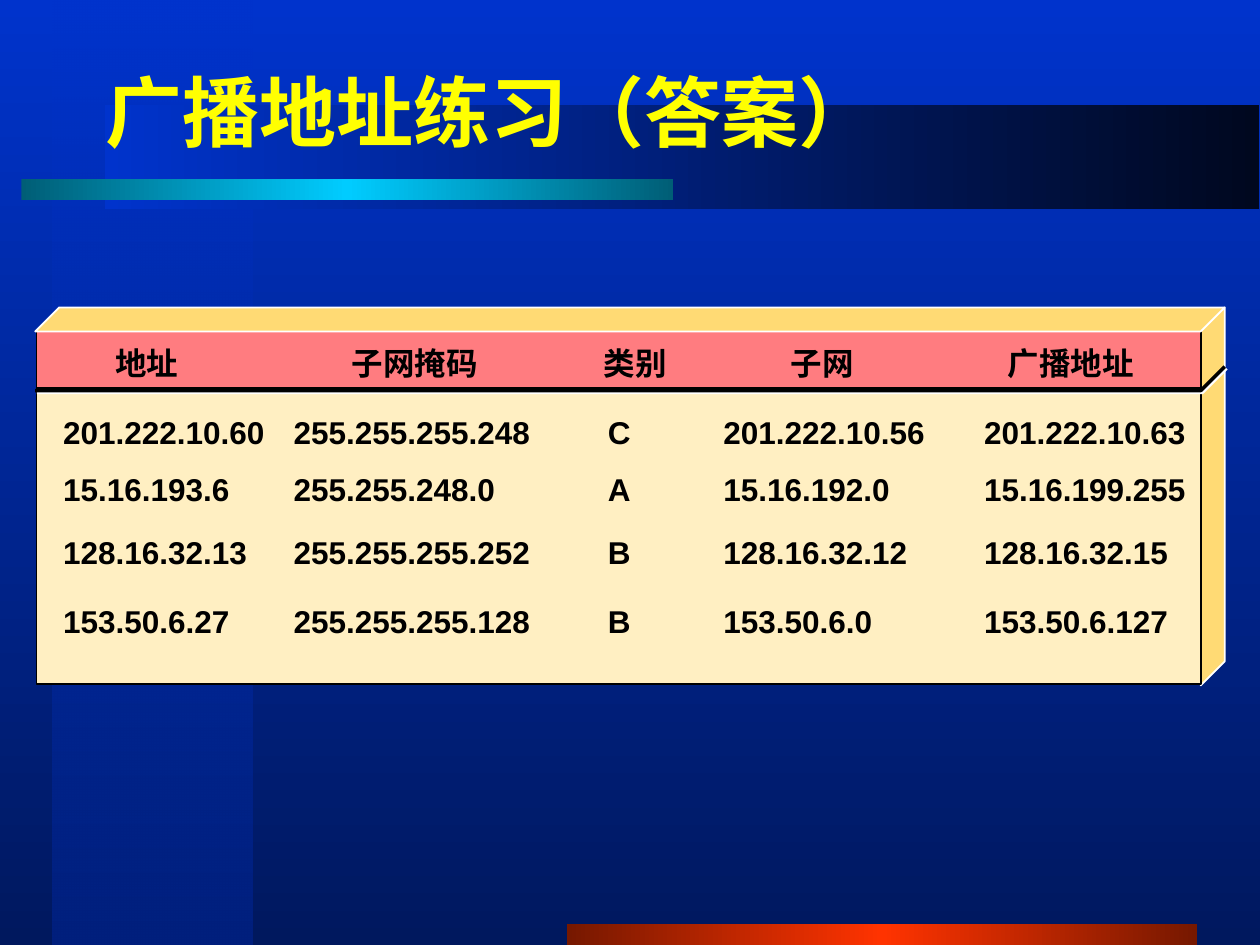
from dataclasses import dataclass

from lxml import etree
from pptx import Presentation
from pptx import util as u
from pptx.dml.color import RGBColor
from pptx.enum import shapes, text
from pptx.oxml.ns import qn


@dataclass(frozen=True)
class Theme:
    sky: tuple = (("0033CC",), ("00185E",))
    pane: tuple = (("0033CC", 50), ("00207E",))
    red: tuple = (("761800",), ("FF3300",), ("761800",))
    night: tuple = (("0033CC",), ("00081F",))
    cyan: tuple = (("005E76",), ("00CCFF",), ("005E76",))
    title: str = "FFFF01"
    side: str = "FFDA74"
    body: str = "FFEFC2"
    head: str = "FF7C80"
    white: str = "FFFFFF"
    black: str = "000000"
    gray: str = "808080"
    big: int = 44
    small: int = 18
    serif: str = "Times New Roman"
    sans: str = "Arial"


class Deck:
    """Draws styled elements on the current slide."""

    def __init__(self, theme):
        self.theme = theme
        self.prs = Presentation()
        self.prs.slide_width = u.Inches(10)
        self.prs.slide_height = u.Inches(7.5)
        self.slide = self.prs.slides.add_slide(self.prs.slide_layouts[6])

    def blend(self, root, fill, stops, angle):
        fill.gradient()
        fill.gradient_angle = angle
        items = root.find(".//" + qn("a:gsLst"))
        for old in list(items):
            items.remove(old)
        for i, (tone, *alpha) in enumerate(stops):
            pos = i * 100000 // (len(stops) - 1)
            stop = etree.SubElement(items, qn("a:gs"), pos=str(pos))
            color = etree.SubElement(stop, qn("a:srgbClr"), val=tone)
            for part in alpha:
                etree.SubElement(color, qn("a:alpha"), val=str(part * 1000))

    def back(self, stops):
        self.blend(self.slide._element, self.slide.background.fill, stops, 270)

    def shade(self, effects, tone, dist):
        cast = etree.SubElement(effects, qn("a:outerShdw"), dist=str(u.Pt(dist)),
                                dir="2700000", algn="ctr", rotWithShape="0")
        etree.SubElement(cast, qn("a:srgbClr"), val=tone)

    def style(self, shape, fill, line, width):
        shape.shadow.inherit = False
        if fill:
            shape.fill.solid()
            shape.fill.fore_color.rgb = RGBColor.from_string(fill)
        else:
            shape.fill.background()
        if line:
            shape.line.color.rgb = RGBColor.from_string(line)
            shape.line.width = u.Pt(width)
        else:
            shape.line.fill.background()

    def rect(self, box, fill=None, line=None, width=1):
        shape = self.slide.shapes.add_shape(
            shapes.MSO_SHAPE.RECTANGLE, *map(u.Inches, box))
        self.style(shape, fill, line, width)
        return shape

    def band(self, box, stops, angle=0):
        shape = self.rect(box)
        self.blend(shape._element.spPr, shape.fill, stops, angle)

    def poly(self, points, fill, line, width=1, close=True):
        first, *rest = [tuple(map(u.Inches, p)) for p in points]
        build = self.slide.shapes.build_freeform(*first)
        build.add_line_segments(rest, close=close)
        shape = build.convert_to_shape()
        self.style(shape, fill, line, width)
        return shape

    def label(self, box, words, size, font, tone, center=False, inset=(0, 0)):
        shape = self.slide.shapes.add_textbox(*map(u.Inches, box))
        frame = shape.text_frame
        frame.word_wrap = True
        frame.vertical_anchor = text.MSO_ANCHOR.MIDDLE
        frame.margin_left = frame.margin_right = u.Inches(inset[0])
        frame.margin_top = frame.margin_bottom = u.Inches(inset[1])
        para = frame.paragraphs[0]
        para.alignment = text.PP_ALIGN.CENTER if center else text.PP_ALIGN.LEFT
        run = para.add_run()
        run.text = words
        run.font.size = u.Pt(size)
        run.font.bold = True
        run.font.color.rgb = RGBColor.from_string(tone)
        run.font.name = font
        return shape, run

    def title(self, box, words):
        t = self.theme
        _, run = self.label(box, words, t.big, t.serif, t.title, inset=(0.09, 0.04))
        effects = etree.Element(qn("a:effectLst"))
        run.font._element.find(qn("a:solidFill")).addnext(effects)
        self.shade(effects, t.gray, 2.8)

    def cell(self, left, top, width, words, center):
        t = self.theme
        shape, _ = self.label((left, top, width, 0.29), words,
                              t.small, t.sans, t.black, center)
        shape.text_frame.auto_size = text.MSO_AUTO_SIZE.SHAPE_TO_FIT_TEXT
        shape.text_frame.paragraphs[0].line_spacing = 0.95


def main():
    t = Theme()
    deck = Deck(t)
    deck.back(t.sky)
    deck.band((0.42, 0, 1.58, 7.5), t.pane, 270)
    deck.band((4.5, 7.33, 5, 0.17), t.red)
    deck.band((0.83, 0.83, 9.16, 0.83), t.night)
    deck.band((0.17, 1.42, 5.17, 0.17), t.cyan)
    deck.title((0.75, 0.25, 8.7, 1.25), "广播地址练习（答案）")

    left, right, top, low, rule, deep = 0.28, 9.53, 2.63, 5.44, 3.1, 0.19
    far, rear = right + deep, top - deep
    deck.poly([(far, rear), (right, top), (right, low), (far, low - deep)],
              t.side, t.white)
    for height, fill in ((2.8, t.body), (0.45, t.head)):
        deck.rect((0.29, top, 9.24, height), fill, t.black)
    deck.poly([(left, top), (left + deep, rear), (far, rear), (right, top)],
              t.side, t.white)
    edge = deck.poly([(left, rule), (right, rule), (far, rule - deep)],
                     None, t.black, 2, close=False)
    deck.shade(edge._element.spPr.find(qn("a:effectLst")), t.white, 1.4)

    heads = (("地址", 0.5, 1.33), ("子网掩码", 2.5, 1.58), ("类别", 4.33, 1.42),
             ("子网", 6, 1.05), ("广播地址", 7.83, 1.34))
    for words, x, width in heads:
        deck.cell(x, 2.75, width, words, True)

    cols = ((0.5, 1.75), (2.33, 2), (4.33, 1.17), (5.74, 1.85), (7.81, 1.85))
    rows = (
        (3.3, "201.222.10.60", "255.255.255.248", "C", "201.222.10.56", "201.222.10.63"),
        (3.75, "15.16.193.6", "255.255.248.0", "A", "15.16.192.0", "15.16.199.255"),
        (4.25, "128.16.32.13", "255.255.255.252", "B", "128.16.32.12", "128.16.32.15"),
        (4.8, "153.50.6.27", "255.255.255.128", "B", "153.50.6.0", "153.50.6.127"),
    )
    for y, *row in rows:
        for (x, width), words in zip(cols, row):
            deck.cell(x, y, width, words, len(words) == 1)
    deck.prs.save("out.pptx")


if __name__ == "__main__":
    main()
